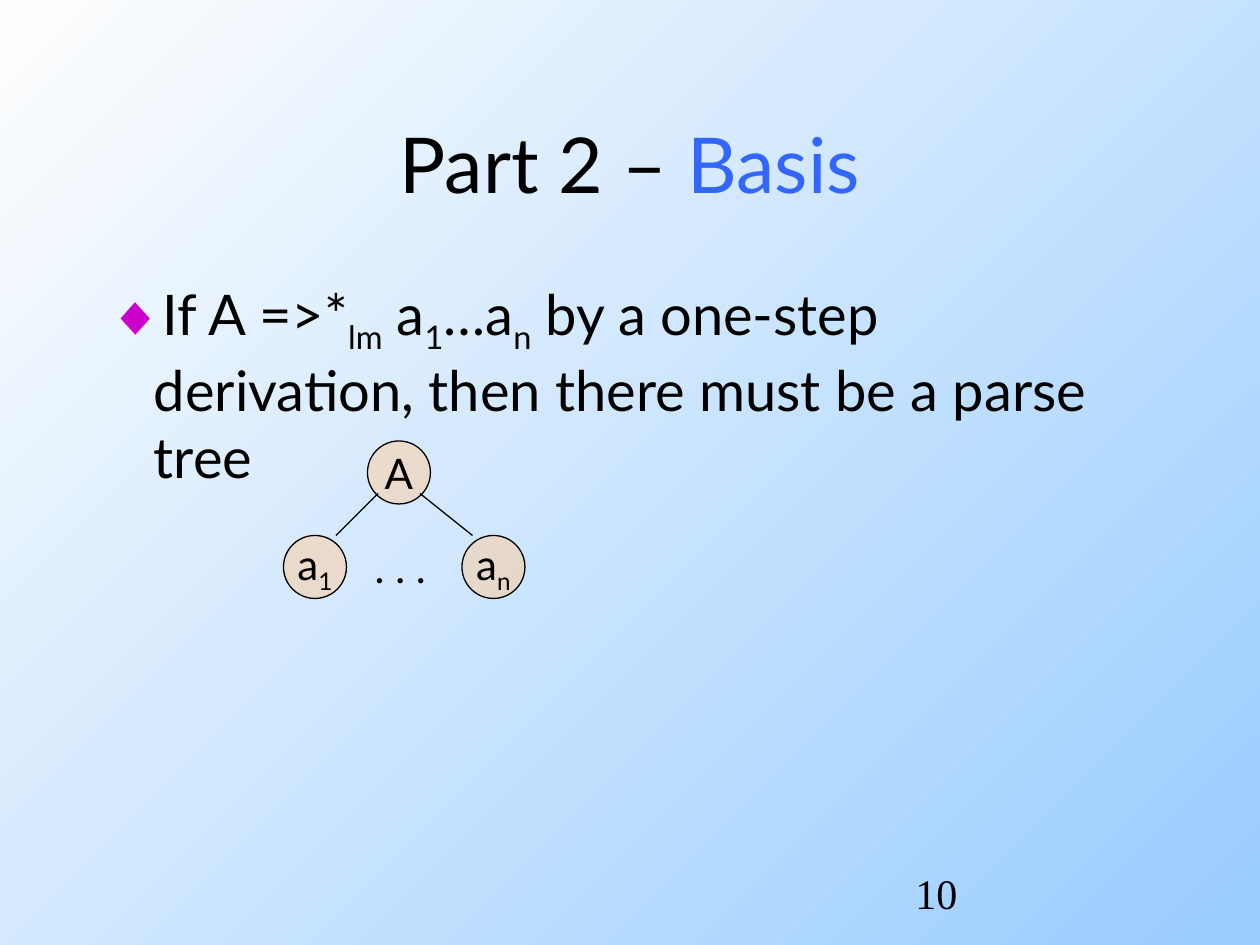
from dataclasses import dataclass
from typing import Any

from lxml.etree import SubElement as Sub
from pptx import Presentation
from pptx.dml.color import RGBColor
from pptx.enum.shapes import MSO_CONNECTOR as Conn, MSO_SHAPE as Geo
from pptx.enum.text import MSO_ANCHOR as Anchor, MSO_AUTO_SIZE as Auto, PP_ALIGN as Align
from pptx.oxml.ns import qn
from pptx.util import Inches, Pt


def rgb(value):
    """Turn a hex string into a colour."""
    return RGBColor.from_string(value)


def assign(target, values):
    """Set each attribute named in a dict of format values."""
    for name, value in values.items():
        setattr(target, name, value)


@dataclass
class Deck:
    """Style and current slide, measured in cells of a 120 by 90 grid."""
    prs: Any
    s: Any = None
    font: str = "Lato"
    ink: str = "000000"
    accent: str = "3366FF"
    bullet: str = "CC00CC"
    node_fill: str = "FFCC99"
    node_size: int = 6

    def box(self, *cells):
        """Convert grid cells to slide lengths."""
        return [round(c * self.prs.slide_width / 120) for c in cells]

    def new_slide(self, start, end):
        """Add a title and body slide on a diagonal gradient."""
        self.s = self.prs.slides.add_slide(self.prs.slide_layouts[1])
        fill = self.s.background.fill
        fill.gradient()
        fill.gradient_angle = 135
        for stop, color, pos in zip(fill.gradient_stops, (start, end), (0, 1)):
            stop.color.rgb = rgb(color)
            stop.position = pos

    def place(self, sp, *cells):
        """Move a shape to a cell rectangle."""
        assign(sp, dict(zip(("left", "top", "width", "height"), self.box(*cells))))

    def put_text(self, sp, runs, size, font=None, frame=None, **para):
        """Fill a shape with one paragraph of (text, format) runs."""
        tf = sp.text_frame
        assign(tf, {"word_wrap": True, "auto_size": Auto.NONE, "vertical_anchor": Anchor.TOP,
                    **(frame or {})})
        p = tf.paragraphs[0]
        assign(p, para)
        for text, fmt in runs:
            r = p.add_run()
            r.text = text
            assign(r.font, {"size": Pt(size), "name": font or self.font})
            r.font.color.rgb = rgb(fmt.get("color", self.ink))
            if fmt.get("sub"):
                r.font._element.set("baseline", "-25000")
        return p

    def title(self, runs, *cells):
        """Format the title placeholder."""
        sp = self.s.shapes.title
        self.place(sp, *cells)
        self.put_text(sp, runs, 44, frame={"vertical_anchor": Anchor.MIDDLE},
                      alignment=Align.CENTER)

    def body(self, runs, *cells):
        """Format the body placeholder as a diamond list item."""
        sp = self.s.placeholders[1]
        self.place(sp, *cells)
        pPr = self.put_text(sp, runs, 32, space_before=Pt(8))._p.get_or_add_pPr()
        pPr.set("marL", str(Inches(0.37)))
        pPr.set("indent", str(Inches(-0.37)))
        Sub(Sub(pPr, qn("a:buClr")), qn("a:srgbClr")).set("val", self.bullet)
        Sub(pPr, qn("a:buChar")).set("char", "◆")

    def text(self, shapes, text, *cells, font=None, **frame):
        """Add a text box."""
        sp = shapes.add_textbox(*self.box(*cells))
        self.put_text(sp, [(text, {})], 24, font, frame)

    def node(self, shapes, runs, col, row):
        """Add a half-transparent round tree node."""
        sp = shapes.add_shape(Geo.OVAL, *self.box(col, row, self.node_size, self.node_size))
        sp.shadow.inherit = False
        sp.fill.solid()
        sp.fill.fore_color.rgb = rgb(self.node_fill)
        color = sp._element.spPr.find(qn("a:solidFill")).find(qn("a:srgbClr"))
        Sub(color, qn("a:alpha")).set("val", "50000")
        self.outline(sp)
        self.put_text(sp, runs, 24, frame={"word_wrap": False, "vertical_anchor": Anchor.MIDDLE},
                      alignment=Align.CENTER)

    def edge(self, shapes, *cells):
        """Add a straight tree edge."""
        sp = shapes.add_connector(Conn.STRAIGHT, *self.box(*cells))
        self.outline(sp)
        Sub(sp._element.spPr, qn("a:effectLst"))

    def outline(self, sp):
        """Give a shape the thin ink line."""
        sp.line.color.rgb = rgb(self.ink)
        sp.line.width = Pt(0.75)


def main():
    """Build the slide and save it."""
    prs = Presentation()
    prs.slide_width, prs.slide_height = Inches(10), Inches(7.5)
    deck = Deck(prs)
    deck.new_slide("99CCFF", "FEFEFE")
    plain, sub = {}, {"sub": True}
    deck.title([("Part 2 – ", plain), ("Basis", {"color": deck.accent})], 9, 8, 102, 15)
    deck.body([("If A =>*", plain), ("lm", sub), (" a", plain), ("1", sub), ("…a", plain),
               ("n", sub), (" by a one-step derivation, then there must be a parse tree", plain)],
              9, 26, 102, 54)

    tree = deck.s.shapes.add_group_shape().shapes
    deck.node(tree, [("A", plain)], 35, 42)
    for index, col in (("1", 27), ("n", 44)):
        deck.node(tree, [("a", plain), (index, sub)], col, 51)
    deck.text(tree, ". . .", 34.5, 51, 7.7, 6, word_wrap=False, auto_size=Auto.SHAPE_TO_FIT_TEXT)
    for start, end in ((36, 32), (40, 45)):
        deck.edge(tree, start, 47, end, 51)

    deck.text(deck.s.shapes, "10", 86, 82, 25, 6, font="Times New Roman")
    prs.save("out.pptx")


if __name__ == "__main__":
    main()
